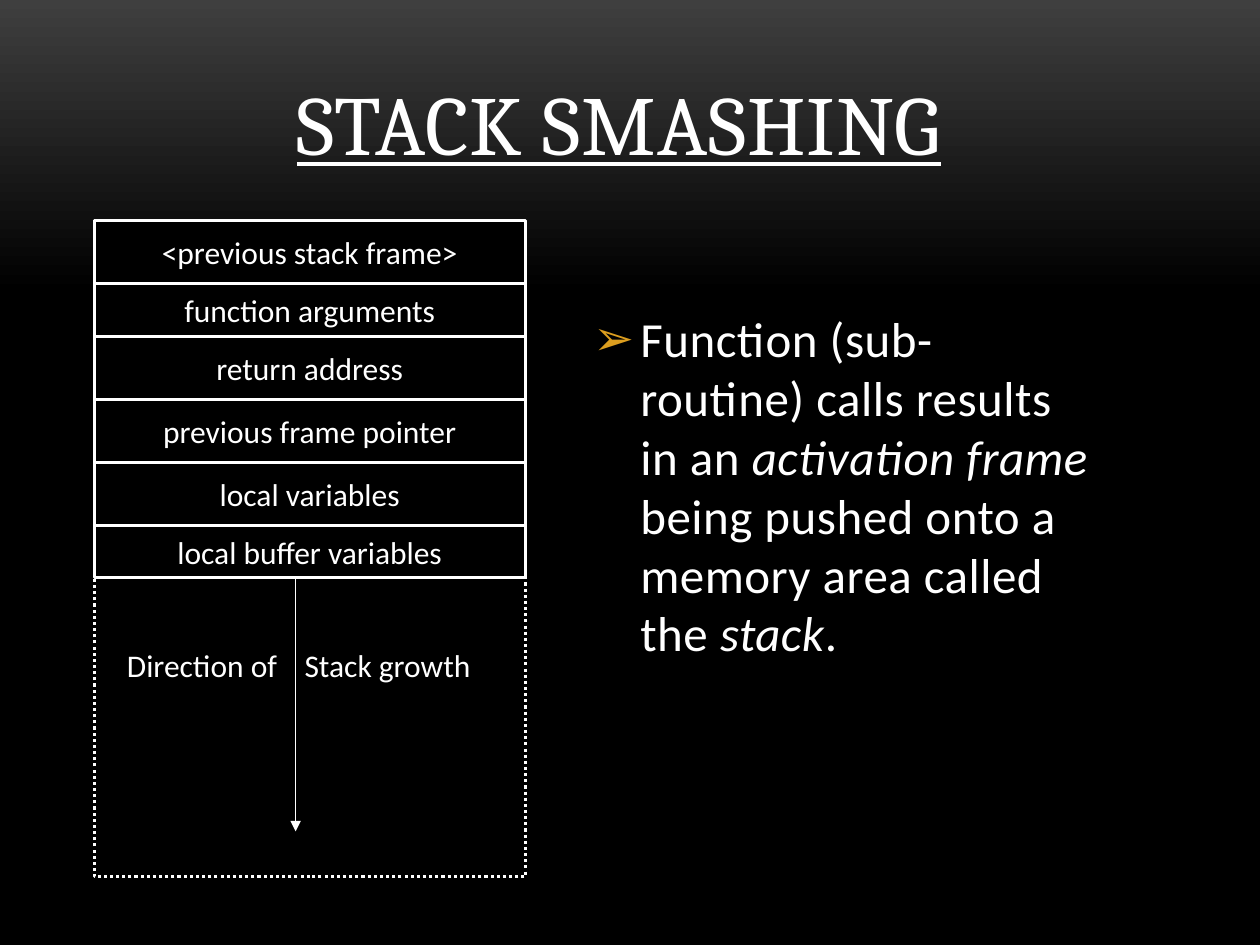
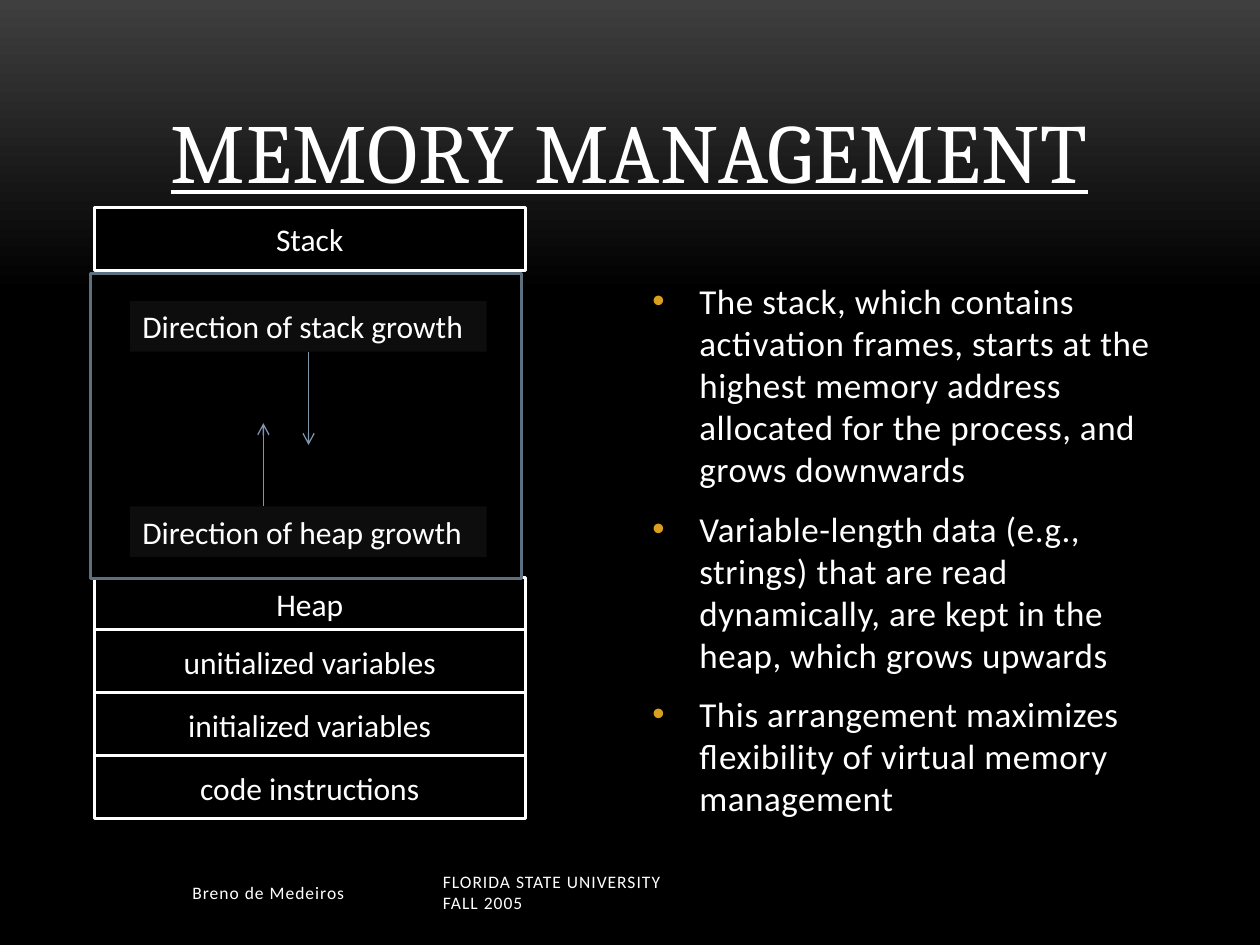
from lxml import etree
from pptx import Presentation
from pptx.dml.color import RGBColor
from pptx.enum import dml, shapes, text
from pptx.oxml.ns import qn
from pptx.util import Cm, Pt

WHITE = RGBColor(255, 255, 255)
BLACK = RGBColor(0, 0, 0)
GREY = RGBColor(0x3F, 0x3F, 0x3F)
DARK = RGBColor(0x0D, 0x0D, 0x0D)
GOLD = RGBColor(0xDC, 0x9E, 0x1F)
STEEL = RGBColor(0x5D, 0x70, 0x80)
BLUE = RGBColor(0x7E, 0x97, 0xAD)
BODY, HEAD = "Calibri", "Cambria"
LEFT, MID, RIGHT = text.PP_ALIGN.LEFT, text.PP_ALIGN.CENTER, text.PP_ALIGN.RIGHT

TALL, LOW = 1.27, 1.06
COL, WIDE = 1.9, 8.69

FRAME = [("<previous stack frame>", TALL), ("function arguments", LOW),
         ("return address", TALL), ("previous frame pointer", TALL),
         ("local variables", TALL), ("local buffer variables", LOW)]
CALLS = [[("Function (sub-routine) calls results in an ", False),
          ("activation frame", True),
          (" being pushed onto a memory area called the ", False),
          ("stack", True), (".", False)]]

STACK = [("Stack", TALL)]
HEAP = [("Heap", LOW), ("unitialized variables", TALL),
        ("initialized variables", TALL), ("code instructions", TALL)]
GROWTH = [("Direction of stack growth", 6.07), ("Direction of heap growth", 10.21)]
ARROWS = [(6.22, 7.09, 8.97), (5.31, 10.21, 8.53)]
POINTS = [
    "The stack, which contains activation frames, starts at the highest memory "
    "address allocated for the process, and grows downwards",
    "Variable-length data (e.g., strings) that are read dynamically, are kept in "
    "the heap, which grows upwards",
    "This arrangement maximizes flexibility of virtual memory management"]
FOOT = [(["Breno de Medeiros"], 1.9, 5.29, RIGHT),
        (["FLORIDA STATE UNIVERSITY", "FALL 2005"], 8.68, 8.05, LEFT)]


def style(run, size, face=BODY, gap=0):
    run.font.size = Pt(size)
    run.font.name = face
    run.font.color.rgb = WHITE
    if gap:
        run.font._element.set("spc", str(gap))


def write(frame, lines, size, align=LEFT, face=BODY, gap=0):
    for n, line in enumerate(lines):
        para = frame.add_paragraph() if n else frame.paragraphs[0]
        para.text = line
        para.alignment = align
        for run in para.runs:
            style(run, size, face, gap)


def start(deck, title, left, top, width, height):
    slide = deck.slides.add_slide(deck.slide_layouts[5])
    head = slide.shapes.title
    head.left, head.top = Cm(left), Cm(top)
    head.width, head.height = Cm(width), Cm(height)
    frame = head.text_frame
    frame.auto_size = text.MSO_AUTO_SIZE.NONE
    frame.vertical_anchor = text.MSO_ANCHOR.BOTTOM
    write(frame, [title], 48, MID, HEAD, 50)
    frame.paragraphs[0].runs[0].font.underline = True
    return slide


def label(slide, left, top, width, height):
    box = slide.shapes.add_textbox(Cm(left), Cm(top), Cm(width), Cm(height))
    box.text_frame.word_wrap = True
    return box.text_frame


def block(slide, left, top, width, height, fill=BLACK, edge=None, thick=1.75):
    box = slide.shapes.add_shape(shapes.MSO_SHAPE.RECTANGLE,
                                 Cm(left), Cm(top), Cm(width), Cm(height))
    box.shadow.inherit = False
    box.fill.solid()
    box.fill.fore_color.rgb = fill
    if edge is None:
        box.line.fill.background()
    else:
        box.line.color.rgb = edge
        box.line.width = Pt(thick)
    return box


def pile(slide, rows, top):
    for name, high in rows:
        frame = block(slide, COL, top, WIDE, high, edge=WHITE).text_frame
        frame.word_wrap = False
        frame.vertical_anchor = text.MSO_ANCHOR.MIDDLE
        write(frame, [name], 18, MID)
        top += high


def arrow(slide, x, top, end, color, tip):
    line = slide.shapes.add_connector(shapes.MSO_CONNECTOR.STRAIGHT,
                                      Cm(x), Cm(top), Cm(x), Cm(end))
    line.line.color.rgb = color
    line.line.width = Pt(0.75)
    props = line._element.spPr
    etree.SubElement(props.find(qn("a:ln")), qn("a:tailEnd"), type=tip)
    etree.SubElement(props, qn("a:effectLst"))


def bullets(frame, items, mark, size):
    for n, item in enumerate(items):
        para = frame.add_paragraph() if n else frame.paragraphs[0]
        props = para._p.get_or_add_pPr()
        props.set("marL", str(Cm(0.95)))
        props.set("indent", str(Cm(-0.95)))
        tint = etree.SubElement(props, qn("a:buClr"))
        etree.SubElement(tint, qn("a:srgbClr"), val=str(GOLD))
        etree.SubElement(props, qn("a:buFont"), typeface="Arial")
        etree.SubElement(props, qn("a:buChar"), char=mark)
        if n:
            para.space_before = Pt(size * 0.2)
        para.space_after = Pt(6)
        for words, slant in item:
            run = para.add_run()
            run.text = words
            style(run, size, gap=30)
            run.font.italic = slant


def smash(deck):
    slide = start(deck, "STACK SMASHING", 1.47, 0.76, 22.02, 2.84)
    bullets(label(slide, 11.71, 6.1, 10.59, 11.48), CALLS, "➢", 28)
    space = block(slide, COL, 4.55, WIDE, 13.13, edge=WHITE)
    space.line.dash_style = dml.MSO_LINE.ROUND_DOT
    pile(slide, FRAME, 4.45)
    arrow(slide, 5.96, 11.68, 16.76, WHITE, "triangle")
    frame = label(slide, 2.31, 12.9, 7.85, 1.02)
    props = frame.paragraphs[0]._p.get_or_add_pPr()
    tabs = etree.SubElement(props, qn("a:tabLst"))
    etree.SubElement(tabs, qn("a:tab"), pos=str(Cm(3.58)), algn="l")
    write(frame, ["Direction of\tStack growth"], 18)


def memory(deck):
    slide = start(deck, "MEMORY MANAGEMENT", 1.9, 0.99, 21.59, 3.18)
    for lines, left, width, align in FOOT:
        frame = label(slide, left, 17.35, width, 1.27)
        frame.vertical_anchor = text.MSO_ANCHOR.MIDDLE
        write(frame, lines, 10, align, gap=60)
    bullets(label(slide, 12.9, 5.51, 11.23, 11.43),
            [[(point, False)] for point in POINTS], "•", 20)
    pile(slide, STACK, 4.19)
    pile(slide, HEAP, 11.64)
    block(slide, 1.83, 5.51, WIDE, 6.15, edge=STEEL, thick=1.5)
    for name, top in GROWTH:
        frame = block(slide, 2.62, top, 7.19, 1.02, DARK).text_frame
        write(frame, [name], 18)
    for x, top, end in ARROWS:
        arrow(slide, x, top, end, BLUE, "arrow")


def main():
    deck = Presentation()
    deck.slide_width, deck.slide_height = Cm(25.4), Cm(19.05)
    fill = deck.slide_master.background.fill
    fill.gradient()
    fill.gradient_angle = 270
    for stop, color, place in zip(fill.gradient_stops, (GREY, BLACK), (0, 0.31)):
        stop.color.rgb = color
        stop.position = place
    smash(deck)
    memory(deck)
    deck.save("out.pptx")


if __name__ == "__main__":
    main()
